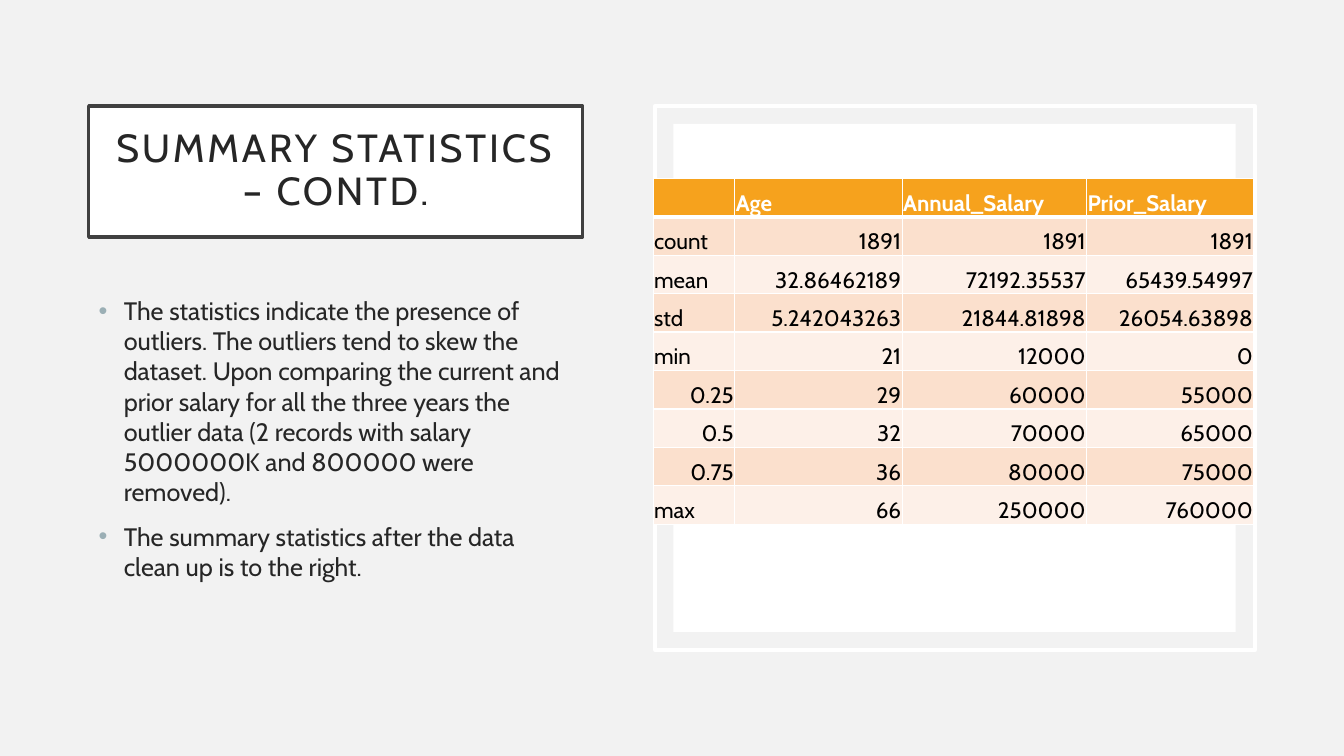
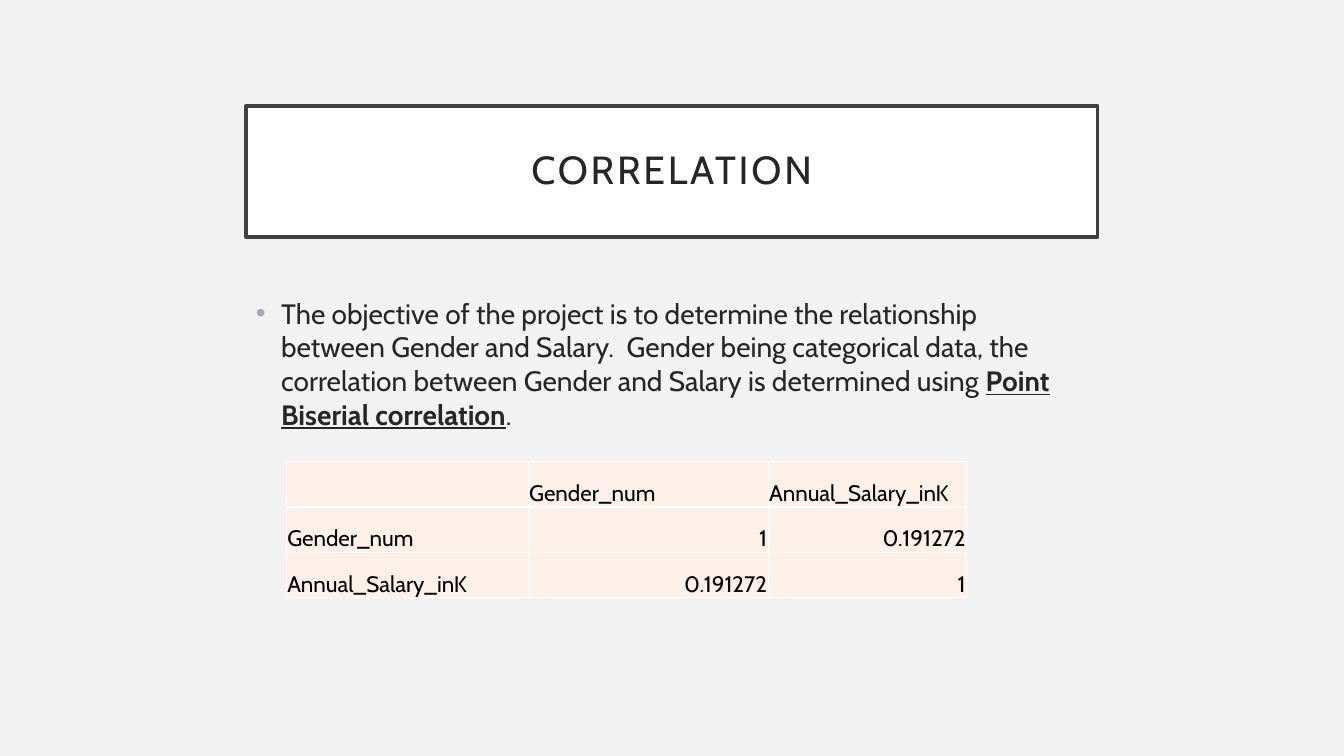
from lxml.etree import SubElement
from pptx import Presentation
from pptx.dml.color import RGBColor
from pptx.enum.shapes import MSO_SHAPE
from pptx.enum.text import MSO_ANCHOR, PP_ALIGN
from pptx.oxml.ns import qn
from pptx.util import Pt

# Shared look
HUES = {
    "page": "F2F2F2", "white": "FFFFFF", "edge": "404040", "ink": "262626",
    "black": "000000", "dot": "9BAFB5", "head": "F6A21D",
    "dark": "FBE0CD", "pale": "FDF0E8",
}
RGB = {name: RGBColor.from_string(code) for name, code in HUES.items()}
FONT = "Cabin"
TOP = 75.6
TITLE = {
    "vertical_anchor": MSO_ANCHOR.MIDDLE, "word_wrap": True,
    "margin_left": Pt(14.4), "margin_right": Pt(14.4),
    "margin_top": Pt(14.4), "margin_bottom": Pt(14.4),
}
CELL = {
    "vertical_anchor": MSO_ANCHOR.BOTTOM, "margin_left": Pt(0.72),
    "margin_right": Pt(0.72), "margin_top": Pt(0.72), "margin_bottom": 0,
}

# Content of each slide
SLIDES = [
    {
        "title": "SUMMARY STATISTICS – CONTD.",
        "box": (63.36, 352.8),
        "body": (207.36, 257.04, 18),
        "points": [
            [("The statistics indicate the presence of outliers. The outliers "
              "tend to skew the dataset. Upon comparing the current and prior "
              "salary for all the three years the outlier data (2 records with "
              "salary 5000000K and 800000 were removed).", {})],
            [("The summary statistics after the data clean up is to the right.",
              {})],
        ],
        "panels": [
            ((468, TOP, 428.4, 388.8), None, "white"),
            ((480.96, 88.56, 401.76, 362.88), "white", None),
        ],
        "spot": (466.56, 127.44),
        "cols": (58.32, 119.52, 131.76, 119.52),
        "high": 27.44,
        "head": True,
        "rows": [
            ("", "Age", "Annual_Salary", "Prior_Salary"),
            ("count", "1891", "1891", "1891"),
            ("mean", "32.86462189", "72192.35537", "65439.54997"),
            ("std", "5.242043263", "21844.81898", "26054.63898"),
            ("min", "21", "12000", "0"),
            ("0.25", "29", "60000", "55000"),
            ("0.5", "32", "70000", "65000"),
            ("0.75", "36", "80000", "75000"),
            ("max", "66", "250000", "760000"),
        ],
    },
    {
        "title": "CORRELATION",
        "box": (175.68, 608.4),
        "body": (208.08, 243.36, 20),
        "points": [
            [("The objective of the project is to determine the relationship "
              "between Gender and Salary.  Gender being categorical data, the "
              "correlation between Gender and Salary is determined using ", {}),
             ("Point Biserial correlation", {"bold": True, "underline": True}),
             (".", {})],
        ],
        "panels": [],
        "spot": (204.48, 329.76),
        "cols": (172.8, 171.36, 141.84),
        "high": 32.4,
        "head": False,
        "rows": [
            ("", "Gender_num", "Annual_Salary_inK"),
            ("Gender_num", "1", "0.191272"),
            ("Annual_Salary_inK", "0.191272", "1"),
        ],
    },
]


def write(para, text, size, hue, **more):
    run = para.add_run()
    run.text = text
    look = {"name": FONT, "size": Pt(size), **more}
    for key, val in look.items():
        setattr(run.font, key, val)
    run.font.color.rgb = RGB[hue]
    return run


def panel(slide, place, fill, line):
    shape = slide.shapes.add_shape(MSO_SHAPE.RECTANGLE, *map(Pt, place))
    shape.shadow.inherit = False
    if fill:
        shape.fill.solid()
        shape.fill.fore_color.rgb = RGB[fill]
    else:
        shape.fill.background()
    if line:
        shape.line.color.rgb = RGB[line]
        shape.line.width = Pt(2.5)
    else:
        shape.line.fill.background()
    return shape


deck = Presentation()
deck.slide_width, deck.slide_height = Pt(960), Pt(540)
back = deck.slide_master.background.fill
back.solid()
back.fore_color.rgb = RGB["page"]

for data in SLIDES:
    slide = deck.slides.add_slide(deck.slide_layouts[6])
    left, wide = data["box"]

    # Title box
    frame = panel(slide, (left, TOP, wide, 93.6), "white", "edge").text_frame
    for key, val in TITLE.items():
        setattr(frame, key, val)
    para = frame.paragraphs[0]
    para.alignment = PP_ALIGN.CENTER
    para.line_spacing = 0.9
    run = write(para, data["title"], 28, "ink")
    run.font._element.set("spc", "200")

    # Bullet text
    top, tall, size = data["body"]
    frame = slide.shapes.add_textbox(*map(Pt, (left, top, wide, tall))).text_frame
    frame.word_wrap = True
    for num, point in enumerate(data["points"]):
        para = frame.add_paragraph() if num else frame.paragraphs[0]
        para.space_before = Pt(10)
        props = para._p.get_or_add_pPr()
        props.set("marL", str(Pt(18)))
        props.set("indent", str(-Pt(18)))
        tint = SubElement(props, qn("a:buClr"))
        SubElement(tint, qn("a:srgbClr"), val=HUES["dot"])
        SubElement(props, qn("a:buFont"), typeface="Arial")
        SubElement(props, qn("a:buChar"), char="•")
        for text, more in point:
            write(para, text, size, "ink", **more)

    # Panels behind the table
    for place, fill, line in data["panels"]:
        panel(slide, place, fill, line)

    # Table
    rows, cols, high = data["rows"], data["cols"], data["high"]
    place = (*data["spot"], sum(cols), high * len(rows))
    table = slide.shapes.add_table(len(rows), len(cols), *map(Pt, place)).table
    table.first_row = data["head"]
    table.horz_banding = False
    for col, width in zip(table.columns, cols):
        col.width = Pt(width)
    for r, row in enumerate(rows):
        table.rows[r].height = Pt(high)
        head = data["head"] and r == 0
        fill = "head" if head else "dark" if data["head"] and r % 2 else "pale"
        for c, text in enumerate(row):
            cell = table.cell(r, c)
            for key, val in CELL.items():
                setattr(cell, key, val)
            props = cell._tc.get_or_add_tcPr()
            for side in "LRTB":
                thick = (head and side == "B") or (data["head"] and r == 1 and side == "T")
                edge = SubElement(props, qn("a:ln" + side), w=str(Pt(3 if thick else 1)))
                paint = SubElement(edge, qn("a:solidFill"))
                SubElement(paint, qn("a:srgbClr"), val=HUES["white"])
            cell.fill.solid()
            cell.fill.fore_color.rgb = RGB[fill]
            para = cell.text_frame.paragraphs[0]
            para.alignment = PP_ALIGN.RIGHT if text[:1].isdigit() else PP_ALIGN.LEFT
            write(para, text, 16, "white" if head else "black", bold=head)

deck.save("out.pptx")
